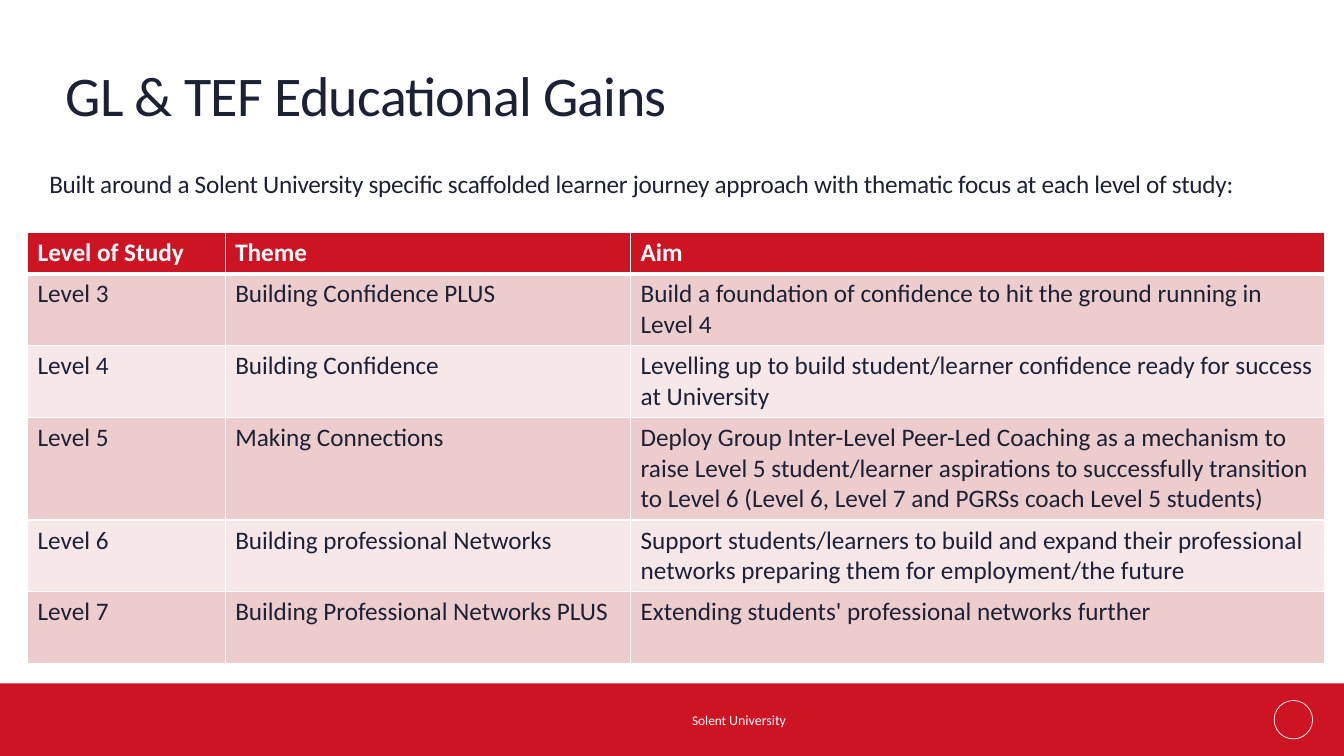
from dataclasses import dataclass

from lxml.etree import SubElement
from pptx import Presentation
from pptx.dml.color import RGBColor
from pptx.enum.shapes import MSO_SHAPE
from pptx.enum.text import MSO_ANCHOR
from pptx.oxml.ns import qn
from pptx.util import Inches, Pt


@dataclass(frozen=True)
class Theme:
    font: str = "Calibri"
    red: str = "CD1423"
    ink: str = "1D2136"
    white: str = "FFFFFF"
    bands: tuple = ("EDCCCD", "F6E7E8")
    title_size: float = 40
    text_size: float = 18
    footer_sizes: tuple = (9.5, 10)
    thin: float = 1
    thick: float = 3


@dataclass(frozen=True)
class Box:
    left: float
    top: float
    width: float
    height: float

    def inner(self, left, top, width, height):
        """Return an inner box given as shares of this one."""
        return Box(self.left + left * self.width, self.top + top * self.height,
                   width * self.width, height * self.height)

    def lengths(self):
        return [Inches(n) for n in (self.left, self.top, self.width, self.height)]


THEME = Theme()
PAGE = Box(0, 0, 13.33, 7.5)
GRID = 100  # columns and rows of the page grid
COLUMN_WEIGHTS = (1.96, 4.02, 6.88)
LINES_PER_ROW = (1, 2, 2, 3, 2, 2)
HEADINGS = ("Level of Study", "Theme", "Aim")
LEVELS = (
    ("Level 3", "Building Confidence PLUS",
     "Build a foundation of confidence to hit the ground running in Level 4"),
    ("Level 4", "Building Confidence",
     "Levelling up to build student/learner confidence ready for success at University"),
    ("Level 5", "Making Connections",
     "Deploy Group Inter-Level Peer-Led Coaching as a mechanism to raise Level 5 "
     "student/learner aspirations to successfully transition to Level 6 "
     "(Level 6, Level 7 and PGRSs coach Level 5 students)"),
    ("Level 6", "Building professional Networks",
     "Support students/learners to build and expand their professional networks "
     "preparing them for employment/the future"),
    ("Level 7", "Building Professional Networks PLUS",
     "Extending students' professional networks further"),
)


def grid_box(left, top, width, height):
    return PAGE.inner(left / GRID, top / GRID, width / GRID, height / GRID)


def set_format(target, values):
    for name, value in values.items():
        setattr(target, name, value)


def add_run(paragraph, text, size, color, bold=False, spacing=0):
    run = paragraph.add_run()
    run.text = text
    set_format(run.font, {"name": THEME.font, "size": Pt(size), "bold": bold})
    run.font.color.rgb = RGBColor.from_string(color)
    if spacing:
        run.font._element.set("spc", str(round(spacing * 100)))


def add_text(slide, box, runs, inset=(0, 0), paragraph_format=None):
    frame = slide.shapes.add_textbox(*box.lengths()).text_frame
    side, end = (Inches(n) for n in inset)
    set_format(frame, {"word_wrap": True, "vertical_anchor": MSO_ANCHOR.TOP,
                       "margin_left": side, "margin_right": side,
                       "margin_top": end, "margin_bottom": end})
    paragraph = frame.paragraphs[0]
    set_format(paragraph, paragraph_format or {})
    for run in runs:
        add_run(paragraph, **run)


def add_footer(slide, box):
    # Red band
    band = slide.shapes.add_shape(MSO_SHAPE.RECTANGLE, *box.lengths())
    band.shadow.inherit = False
    band.fill.solid()
    band.fill.fore_color.rgb = RGBColor.from_string(THEME.red)
    band.line.fill.background()
    # Institution name
    words = zip(("Solent ", "University"), THEME.footer_sizes)
    add_text(slide, box.inner(0.515, 0.39, 0.12, 0.55),
             [{"text": word, "size": size, "color": THEME.white} for word, size in words])
    # Page-number ring
    ring_share = 0.53
    ring_box = box.inner(0.948, (1 - ring_share) / 2, ring_share * box.height / box.width,
                         ring_share)
    ring = slide.shapes.add_shape(MSO_SHAPE.OVAL, *ring_box.lengths())
    ring.shadow.inherit = False
    ring.fill.background()
    ring.line.color.rgb = RGBColor.from_string(THEME.white)
    ring.line.width = Pt(0.5)


def add_title(slide, box):
    add_text(slide, box, [{"text": "GL & TEF Educational Gains", "size": THEME.title_size,
                           "color": THEME.ink, "spacing": -0.5}],
             paragraph_format={"line_spacing": 0.85})


def add_introduction(slide, box):
    text = ("Built around a Solent University specific scaffolded learner journey "
            "approach with thematic focus at each level of study:")
    add_text(slide, box, [{"text": text, "size": THEME.text_size,
                           "color": THEME.ink, "spacing": -0.2}],
             inset=(0.1, 0.05),
             paragraph_format={"line_spacing": 0.9, "space_after": Pt(14)})


def set_borders(cell, widths):
    properties = cell._tc.get_or_add_tcPr()
    for side, width in widths.items():
        line = SubElement(properties, qn(f"a:ln{side}"), w=str(Pt(width)))
        SubElement(SubElement(line, qn("a:solidFill")), qn("a:srgbClr"), val=THEME.white)


def add_levels_table(slide, box):
    rows = (HEADINGS, *LEVELS)
    table = slide.shapes.add_table(len(rows), len(HEADINGS), *box.lengths()).table
    table.horz_banding = False
    # Column widths by weight, row heights by lines of text
    for column, weight in zip(table.columns, COLUMN_WEIGHTS):
        column.width = Inches(box.width * weight / sum(COLUMN_WEIGHTS))
    padding = 0.1
    line_height = (box.height - padding * len(rows)) / sum(LINES_PER_ROW)
    for row, lines in zip(table.rows, LINES_PER_ROW):
        row.height = Inches(padding + lines * line_height)
    # Cells
    for row_index, texts in enumerate(rows):
        header = row_index == 0
        fill = THEME.red if header else THEME.bands[(row_index - 1) % 2]
        borders = {"L": THEME.thin, "R": THEME.thin,
                   "T": THEME.thick if row_index == 1 else THEME.thin,
                   "B": THEME.thick if header else THEME.thin}
        for column_index, text in enumerate(texts):
            cell = table.cell(row_index, column_index)
            set_borders(cell, borders)
            cell.fill.solid()
            cell.fill.fore_color.rgb = RGBColor.from_string(fill)
            add_run(cell.text_frame.paragraphs[0], text, THEME.text_size,
                    THEME.white if header else THEME.ink, bold=header)


def main():
    presentation = Presentation()
    set_format(presentation, {"slide_width": Inches(PAGE.width),
                              "slide_height": Inches(PAGE.height)})
    slide = presentation.slides.add_slide(presentation.slide_layouts[6])
    add_footer(slide, grid_box(0, 90.4, 100, 9.6))
    add_title(slide, grid_box(4.88, 9.33, 89.2, 15.47))
    add_introduction(slide, grid_box(2.93, 22, 93.7, 9.87))
    add_levels_table(slide, grid_box(2.05, 30.8, 96.5, 57))
    presentation.save("out.pptx")


if __name__ == "__main__":
    main()
